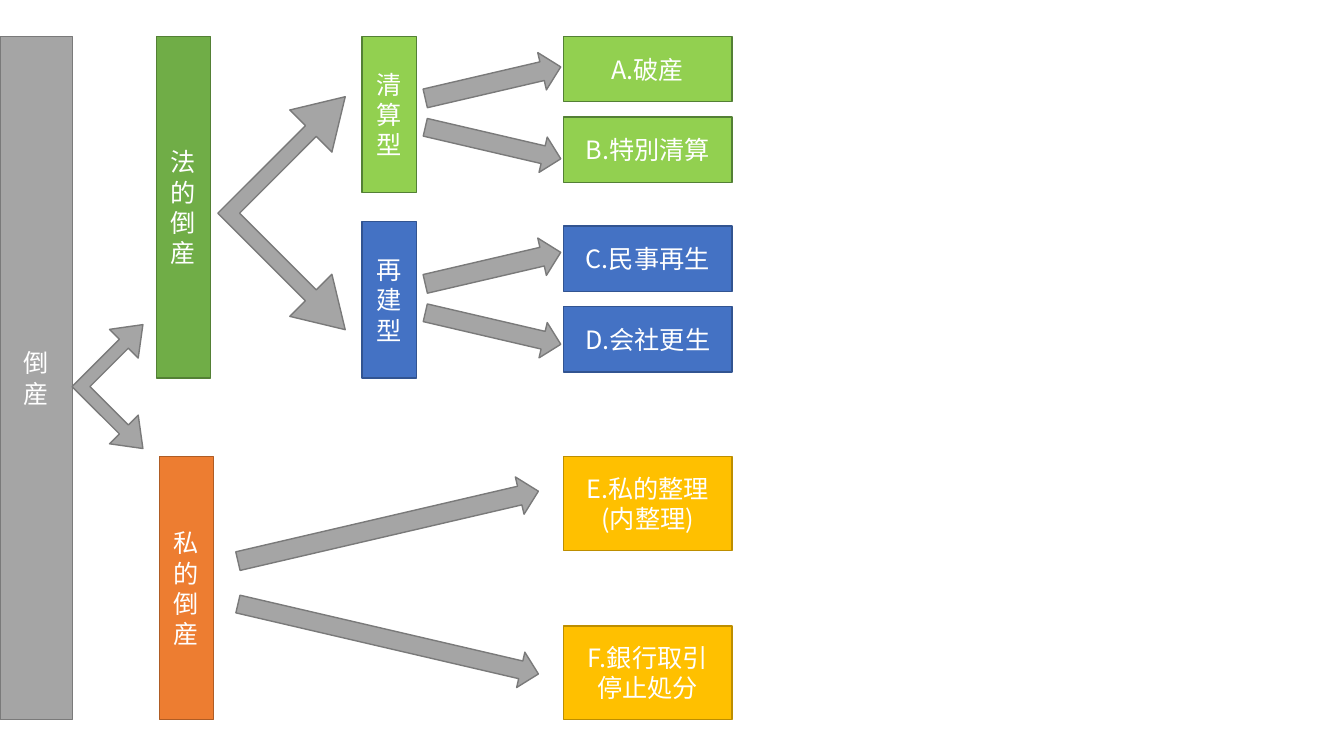
import pptx
import pptx.util
import pptx.dml.color
import pptx.enum.shapes
import pptx.enum.text
import pptx.oxml.ns
from lxml import etree

Inches = pptx.util.Inches
SHAPES = pptx.enum.shapes.MSO_SHAPE

THEME = {
    "font": "Noto Sans CJK JP", "size": 18, "text": "FFFFFF", "line": 1,
    # fill, outline
    "gray": ("A5A5A5", "7A7A7A"),
    "green": ("70AD47", "538035"),
    "lime": ("92D050", "538035"),
    "blue": ("4472C4", "325491"),
    "orange": ("ED7D31", "AF5C24"),
    "gold": ("FFC000", "BD8E00"),
}

# Column: left, width
COLUMNS = {
    "root": (0, 0.72),
    "legal": (1.55, 0.54),
    "private": (1.58, 0.54),
    "type": (3.59, 0.54),
    "procedure": (5.59, 1.67),
}

# Lines of text, column, top, height, colour
BOXES = [
    (["倒", "産"], "root", 0.36, 6.78, "gray"),
    (["法的倒産"], "legal", 0.36, 3.39, "green"),
    (["私的倒産"], "private", 4.53, 2.61, "orange"),
    (["清算型"], "type", 0.36, 1.55, "lime"),
    (["再建型"], "type", 2.2, 1.55, "blue"),
    (["A.破産"], "procedure", 0.36, 0.65, "lime"),
    (["B.特別清算"], "procedure", 1.16, 0.65, "lime"),
    (["C.民事再生"], "procedure", 2.24, 0.65, "blue"),
    (["D.会社更生"], "procedure", 3.04, 0.65, "blue"),
    (["E.私的整理", "(内整理)"], "procedure", 4.53, 0.93, "gold"),
    (["F.銀行取引", "停止処分"], "procedure", 6.21, 0.93, "gold"),
]

# Two-headed forks: centre x, centre y, side, adjustments
FORKS = [
    (1.275, 3.835, 1.07, (0.117, 0.188, 0.25)),
    (3.215, 2.115, 1.93, (0.079, 0.153, 0.25)),
]

# Pairs of spreading arrows: centre x, centre y, length, half the gap between them
FANS = [
    (4.89, 1.12, 1.38, 0.3),
    (4.89, 2.96, 1.38, 0.3),
    (3.85, 5.78, 3.06, 0.56),
]
FAN_ANGLE = 13.1
RISING_THICKNESS, FALLING_THICKNESS = 0.38, 0.36
FORK_ANGLE = 135


def rgb(code):
    return pptx.dml.color.RGBColor.from_string(code)


def add_block(slide, preset, left, top, width, height, colour):
    block = slide.shapes.add_shape(
        preset, Inches(left), Inches(top), Inches(width), Inches(height))
    fill, outline = THEME[colour]
    block.shadow.inherit = False
    block.fill.solid()
    block.fill.fore_color.rgb = rgb(fill)
    block.line.color.rgb = rgb(outline)
    block.line.width = pptx.util.Pt(THEME["line"])
    return block


def add_arrow(slide, preset, centre_x, centre_y, width, height, angle):
    arrow = add_block(slide, preset, centre_x - width / 2, centre_y - height / 2,
                      width, height, "gray")
    arrow.rotation = angle
    return arrow


def write_line(paragraph, text, size=THEME["size"], colour=THEME["text"],
               font=THEME["font"], align=pptx.enum.text.PP_ALIGN.CENTER):
    paragraph.alignment = align
    run = paragraph.add_run()
    run.text = text
    run.font.size = pptx.util.Pt(size)
    run.font.color.rgb = rgb(colour)
    run.font.name = font
    east_asian = etree.SubElement(run.font._element, pptx.oxml.ns.qn("a:ea"))
    east_asian.set("typeface", font)


def add_box(slide, lines, column, top, height, colour):
    left, width = COLUMNS[column]
    frame = add_block(slide, SHAPES.RECTANGLE, left, top, width, height, colour).text_frame
    frame.word_wrap = True
    frame.vertical_anchor = pptx.enum.text.MSO_ANCHOR.MIDDLE
    for index, line in enumerate(lines):
        write_line(frame.add_paragraph() if index else frame.paragraphs[0], line)


def main():
    deck = pptx.Presentation()
    deck.slide_width, deck.slide_height = Inches(13.33), Inches(7.5)
    slide = deck.slides.add_slide(deck.slide_layouts[6])

    for box in BOXES:
        add_box(slide, *box)

    for x, y, side, adjustments in FORKS:
        fork = add_arrow(slide, SHAPES.LEFT_UP_ARROW, x, y, side, side, FORK_ANGLE)
        for index, value in enumerate(adjustments):
            fork.adjustments[index] = value

    for x, y, length, half_gap in FANS:
        for direction, thickness in ((-1, RISING_THICKNESS), (1, FALLING_THICKNESS)):
            add_arrow(slide, SHAPES.RIGHT_ARROW, x, y + direction * half_gap,
                      length, thickness, direction * FAN_ANGLE)

    deck.save("out.pptx")


if __name__ == "__main__":
    main()
